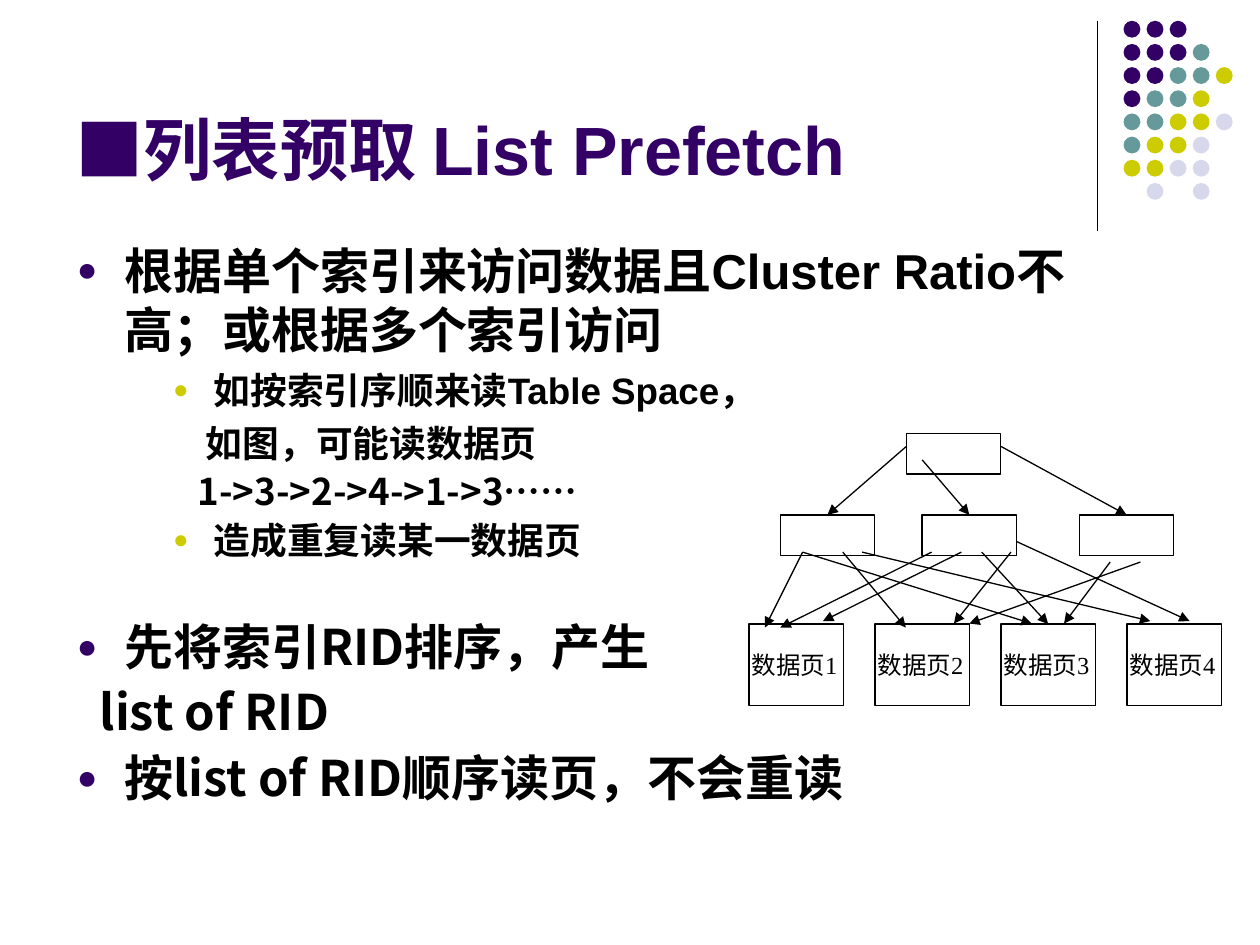
from typing import NamedTuple, Optional

from lxml import etree
from pptx import Presentation, util as u
from pptx.dml.color import RGBColor
from pptx.enum import shapes as sh, text as tx
from pptx.oxml.ns import qn

INK, TEAL, LIME, PALE = "330066", "669999", "CCCC00", "D8D8EC"
BLACK, WHITE = "000000", "FFFFFF"
ARIAL, NOTO, TIMES = "Arial", "Noto Sans CJK SC", "Times New Roman"


class Para(NamedTuple):
    text: str
    size: int
    font: str
    left: float
    hang: float = 0
    dot: Optional[str] = None
    line: float = 0.9
    before: float = 0


class Link(NamedTuple):
    x1: float
    y1: float
    x2: float
    y2: float
    goal: Optional[object] = None


def color(code: str) -> RGBColor:
    return RGBColor.from_string(code)


def add_run(para, words: str, size: float, font: str, code: str, bold: bool = False) -> None:
    run = para.add_run()
    run.text = words
    run.font.size = u.Pt(size)
    run.font.bold = bold
    run.font.color.rgb = color(code)
    run.font.name = font
    etree.SubElement(run._r.get_or_add_rPr(), qn("a:ea"), typeface=NOTO)


def set_frame(frame, anchor, side: float = 0.25) -> None:
    frame.word_wrap = True
    frame.vertical_anchor = anchor
    frame.margin_left = frame.margin_right = u.Cm(side)
    frame.margin_top = frame.margin_bottom = u.Cm(0.13)


def add_box(slide, x: float, y: float, wide: float, high: float, anchor):
    box = slide.shapes.add_textbox(u.Cm(x), u.Cm(y), u.Cm(wide), u.Cm(high))
    set_frame(box.text_frame, anchor)
    return box.text_frame


def add_shape(slide, kind, x: float, y: float, wide: float, high: float,
              fill: str, edge: Optional[str] = None):
    shape = slide.shapes.add_shape(kind, u.Cm(x), u.Cm(y), u.Cm(wide), u.Cm(high))
    shape.shadow.inherit = False
    shape.fill.solid()
    shape.fill.fore_color.rgb = color(fill)
    if edge:
        shape.line.color.rgb = color(edge)
        shape.line.width = u.Pt(0.75)
    else:
        shape.line.fill.background()
    return shape


def add_node(slide, x: float, y: float, high: float = 0.82, label: str = ""):
    node = add_shape(slide, sh.MSO_SHAPE.RECTANGLE, x, y, 1.9, high, WHITE, BLACK)
    if label:
        set_frame(node.text_frame, tx.MSO_ANCHOR.MIDDLE, 0.05)
        para = node.text_frame.paragraphs[0]
        para.alignment = tx.PP_ALIGN.LEFT
        add_run(para, label, 14, TIMES, BLACK)
    return node


def add_line(slide, link: Link, arrow: bool = True) -> None:
    line = slide.shapes.add_connector(
        sh.MSO_CONNECTOR.STRAIGHT, *(u.Cm(n) for n in link[:4]))
    line.line.color.rgb = color(BLACK)
    line.line.width = u.Pt(0.75)
    if arrow:
        etree.SubElement(line.line._get_or_add_ln(), qn("a:tailEnd"), type="triangle")
    etree.SubElement(line._element.spPr, qn("a:effectLst"))
    if link.goal is not None:
        line.end_connect(link.goal, 0)


def add_para(para, item: Para) -> None:
    props = para._p.get_or_add_pPr()
    props.set("marL", str(u.Cm(item.left)))
    props.set("indent", str(u.Cm(-item.hang)))
    props.set("hangingPunct", "0")
    para.line_spacing = item.line
    para.space_before = u.Pt(item.before)
    if item.dot:
        tint = etree.SubElement(props, qn("a:buClr"))
        etree.SubElement(tint, qn("a:srgbClr"), val=item.dot)
        etree.SubElement(props, qn("a:buSzPct"), val="70000")
        etree.SubElement(props, qn("a:buFont"), typeface=ARIAL)
        etree.SubElement(props, qn("a:buChar"), char="●")
    else:
        etree.SubElement(props, qn("a:buNone"))
    add_run(para, item.text, item.size, item.font, BLACK, True)


def draw_dots(slide) -> None:
    """Draw the corner pattern, one letter of the rows per dot."""
    tints = {"i": INK, "t": TEAL, "l": LIME, "p": PALE}
    rows = ("iii", "iiit", "iittl", "ittl", "ttllp", "tllp", "llpp", "-p-p")
    for j, row in enumerate(rows):
        for i, key in enumerate(row):
            if key in tints:
                add_shape(slide, sh.MSO_SHAPE.OVAL, 22.65 + 0.465 * i,
                          0.42 + 0.467 * j, 0.34, 0.34, tints[key])


def draw_text(slide) -> None:
    title = add_box(slide, 1.27, 0.33, 20.96, 3.61, tx.MSO_ANCHOR.BOTTOM).paragraphs[0]
    add_run(title, "■", 39, ARIAL, INK)
    add_run(title, "列表预取 List Prefetch", 39, ARIAL, INK, True)

    items = (
        Para("根据单个索引来访问数据且Cluster Ratio不高；或根据多个索引访问",
             28, ARIAL, 0.96, 0.96, INK, 1),
        Para("如按索引序顺来读Table Space，", 21, ARIAL, 2.76, 0.82, LIME, 1, 5.2),
        Para("如图，可能读数据页", 21, ARIAL, 2.6, line=1, before=5.2),
        Para("1->3->2->4->1->3……", 21, NOTO, 2.43, before=5.2),
        Para("造成重复读某一数据页", 21, NOTO, 2.76, 0.82, LIME, before=5.2),
        Para("先将索引RID排序，产生", 28, NOTO, 0.96, 0.96, INK, before=35),
        Para("list of RID", 28, NOTO, 0.46, before=7),
        Para("按list of RID顺序读页，不会重读", 28, NOTO, 0.96, 0.96, INK, before=7),
    )
    body = add_box(slide, 1.3, 4.72, 22.2, 12.24, tx.MSO_ANCHOR.TOP)
    for i, item in enumerate(items):
        add_para(body.add_paragraph() if i else body.paragraphs[0], item)


def draw_tree(slide) -> None:
    add_node(slide, 18.27, 8.74)
    mids = [add_node(slide, x, 10.38) for x in (15.73, 18.59, 21.76)]
    pages = [add_node(slide, 15.1 + 2.54 * i, 12.58, 1.65, f"数据页{i + 1}")
             for i in range(4)]
    links = (
        Link(18.27, 9, 16.68, 10.38, mids[0]),
        Link(18.59, 9.27, 19.54, 10.38, mids[1]),
        Link(20.18, 9, 22.71, 10.38, mids[2]),
        Link(16.18, 11.13, 15.42, 12.65),
        Link(16.18, 11.13, 20.8, 12.57),
        Link(19.38, 11.13, 16.59, 12.52),
        Link(17.38, 11.13, 23.19, 12.52),
        Link(16.99, 11.13, 18.26, 12.65),
        Link(18.78, 11.13, 15.73, 12.65),
        Link(19.79, 11.13, 21.13, 12.58, pages[2]),
        Link(20.38, 11.13, 19.23, 12.57),
        Link(22.38, 11.33, 21.45, 12.57),
        Link(22.99, 11.33, 19.54, 12.57),
        Link(20.5, 10.92, 23.98, 12.52),
    )
    for link in links:
        add_line(slide, link)


def main() -> None:
    deck = Presentation()
    deck.slide_width, deck.slide_height = u.Cm(25.4), u.Cm(19.05)
    slide = deck.slides.add_slide(deck.slide_layouts[6])
    add_line(slide, Link(22.12, 0.43, 22.12, 4.65), arrow=False)
    draw_dots(slide)
    draw_text(slide)
    draw_tree(slide)
    deck.save("out.pptx")


if __name__ == "__main__":
    main()
